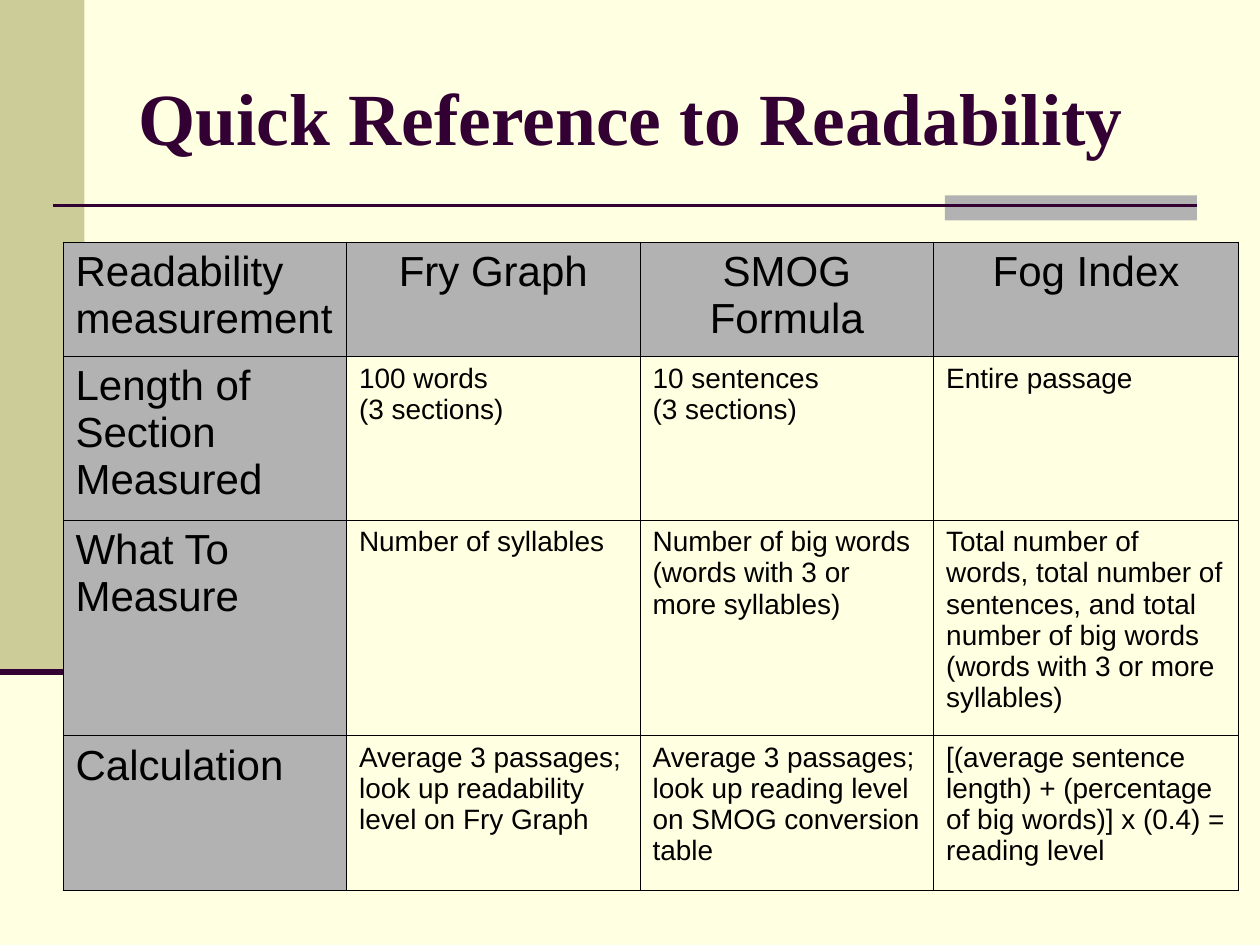
from lxml.etree import SubElement
from pptx import Presentation
from pptx.dml.color import RGBColor
from pptx.enum.shapes import MSO_CONNECTOR as CONN, MSO_SHAPE as SHAPE
from pptx.enum.text import MSO_ANCHOR as ANCHOR, PP_ALIGN as ALIGN
from pptx.oxml.ns import qn
from pptx.util import Inches, Pt

CREAM = RGBColor(0xFF, 0xFF, 0xE1)
KHAKI = RGBColor(0xCC, 0xCC, 0x99)
GRAY = RGBColor(0xB2, 0xB2, 0xB2)
PLUM = RGBColor(0x33, 0x00, 0x33)
BLACK = RGBColor(0x00, 0x00, 0x00)

COL_WIDTHS = [2.25, 2.33, 2.33, 2.42]
ROW_HEIGHTS = [0.91, 1.3, 1.71, 1.23]
ROWS = [
    ["Readability measurement", "Fry Graph", "SMOG Formula", "Fog Index"],
    ["Length of Section Measured", "100 words \n(3 sections)",
     "10 sentences \n(3 sections)", "Entire passage"],
    ["What To Measure", "Number of syllables",
     "Number of big words (words with 3 or more syllables)",
     "Total number of words, total number of sentences, and total number "
     "of big words (words with 3 or more syllables)"],
    ["Calculation",
     "Average 3 passages; look up readability level on Fry Graph",
     "Average 3 passages; look up reading level on SMOG conversion table",
     "[(average sentence length) + (percentage of big words)] x (0.4) = "
     "reading level"],
]


def set_text(tf, text, size, font="Arial", color=BLACK, bold=False,
             align=ALIGN.LEFT):
    """Fill the first paragraph; a newline becomes a line break."""
    tf.word_wrap = True
    p = tf.paragraphs[0]
    p.text = text
    p.alignment = align
    p.space_before = Pt(0)
    for r in p.runs:
        r.font.name = font
        r.font.size = Pt(size)
        r.font.bold = bold
        r.font.color.rgb = color
    for br in p._p.findall(qn("a:br")):
        SubElement(br, qn("a:rPr"), sz=str(size * 100))


def add_block(slide, left, top, width, height, color):
    sp = slide.shapes.add_shape(SHAPE.RECTANGLE, Inches(left), Inches(top),
                                Inches(width), Inches(height))
    sp.shadow.inherit = False
    sp.fill.solid()
    sp.fill.fore_color.rgb = color
    sp.line.fill.background()


def add_rule(slide, left, right, y, width):
    line = slide.shapes.add_connector(CONN.STRAIGHT, Inches(left), Inches(y),
                                      Inches(right), Inches(y))
    line.line.color.rgb = PLUM
    line.line.width = Pt(width)
    SubElement(line._element.spPr, qn("a:effectLst"))


def add_title(slide, text):
    title = slide.shapes.title
    title.left, title.top = Inches(1), Inches(0.3)
    title.width, title.height = Inches(8.5), Inches(1.25)
    title.text_frame.vertical_anchor = ANCHOR.MIDDLE
    set_text(title.text_frame, text, 42, font="Times New Roman", color=PLUM,
             bold=True)


def set_borders(cell, color, width):
    tc_pr = cell._tc.get_or_add_tcPr()
    for i, side in enumerate(("a:lnL", "a:lnR", "a:lnT", "a:lnB")):
        ln = tc_pr.makeelement(qn(side), {"w": str(Pt(width))})
        fill = SubElement(ln, qn("a:solidFill"))
        SubElement(fill, qn("a:srgbClr"), val=str(color))
        tc_pr.insert(i, ln)


def add_readability_table(slide, left, top):
    frame = slide.shapes.add_table(
        len(ROWS), len(COL_WIDTHS), Inches(left), Inches(top),
        Inches(sum(COL_WIDTHS)), Inches(sum(ROW_HEIGHTS)))
    table = frame.table
    table.first_row = table.horz_banding = False
    for col, width in zip(table.columns, COL_WIDTHS):
        col.width = Inches(width)
    for row, height in zip(table.rows, ROW_HEIGHTS):
        row.height = Inches(height)
    for i, texts in enumerate(ROWS):
        for j, text in enumerate(texts):
            cell = table.cell(i, j)
            is_header = i == 0 or j == 0
            if is_header:
                cell.fill.solid()
                cell.fill.fore_color.rgb = GRAY
            else:
                cell.fill.background()
            set_borders(cell, BLACK, 0.45)
            set_text(cell.text_frame, text, 24 if is_header else 16,
                     align=ALIGN.CENTER if i == 0 and j > 0 else ALIGN.LEFT)


def main():
    prs = Presentation()
    prs.slide_width, prs.slide_height = Inches(10), Inches(7.5)
    slide = prs.slides.add_slide(prs.slide_layouts[5])
    slide.background.fill.solid()
    slide.background.fill.fore_color.rgb = CREAM

    add_block(slide, 0, 0, 0.67, 5.33, KHAKI)
    add_block(slide, 7.5, 1.55, 2, 0.2, GRAY)
    add_rule(slide, 0.42, 9.5, 1.63, 1.5)
    add_rule(slide, 0, 0.67, 5.33, 3.5)
    add_title(slide, "Quick Reference to Readability")
    add_readability_table(slide, 0.5, 1.92)
    prs.save("out.pptx")


if __name__ == "__main__":
    main()
